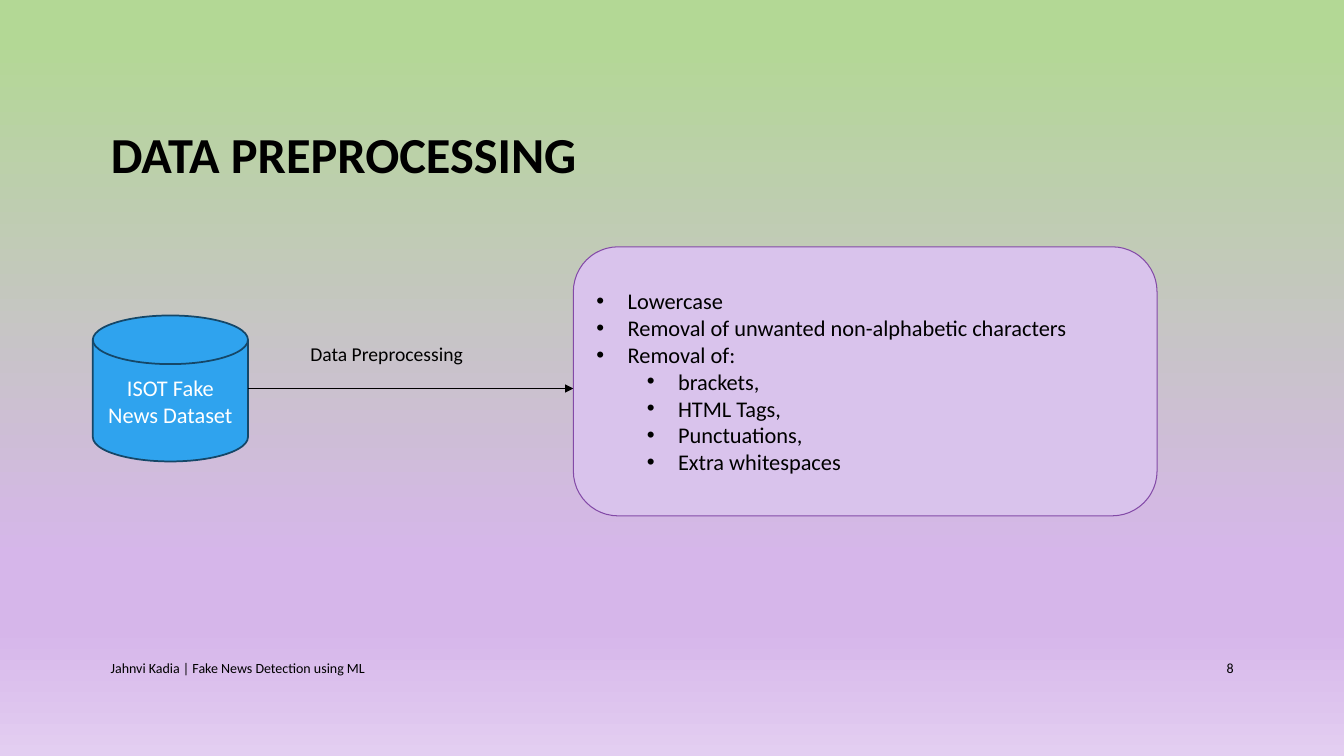
from copy import deepcopy
from dataclasses import dataclass

from pptx import Presentation
from pptx.dml.color import RGBColor as Rgb
from pptx.enum.shapes import MSO_CONNECTOR as Link, MSO_SHAPE as Kind
from pptx.enum.text import MSO_ANCHOR as Anchor, PP_ALIGN as Align
from pptx.oxml.ns import qn
from pptx.oxml.xmlchemy import OxmlElement as Node
from pptx.util import Cm, Pt

# Content
TITLE = "DATA PREPROCESSING"
SOURCE = "ISOT Fake News Dataset"
LABEL = "Data Preprocessing"
STEPS = [
    (0, "Lowercase"),
    (0, "Removal of unwanted non-alphabetic characters"),
    (0, "Removal of:"),
    (1, "brackets,"),
    (1, "HTML Tags,"),
    (1, "Punctuations,"),
    (1, "Extra whitespaces"),
]
FOOTER = "Jahnvi Kadia | Fake News Detection using ML"
NUMBER = "8"


@dataclass(frozen=True)
class Theme:
    font: str = "Calibri"
    ink: str = "000000"
    light: str = "FFFFFF"
    disk: str = "2FA3EE"
    rim: str = "154768"
    panel: str = "D9C3EC"
    edge: str = "834AA7"
    back: tuple = ((0.05, "B3D895"), (0.74, "D6B6EA"),
                   (0.83, "D6B6EA"), (1, "E3CEF1"))
    head: int = 36
    body: int = 16
    note: int = 14
    foot: int = 10


LOOK = Theme()

# Places in cm: left, top, width, height
LEFT, BASE = 2.54, 16.33
HEAD = (LEFT, 1.73, 28.78, 4.45)
DISK = (2.34, 7.95, 3.91, 3.68)
PANEL = (14.45, 6.22, 14.71, 6.78)
NOTE = (7.57, 8.48, 6.5, 0.86)
FOOT = (LEFT, BASE, 18.54, 1.02)
PAGE = (29.21, BASE, 2.13, 1.02)
HANG, STEP = 0.79, 1.27


def place(box):
    return [Cm(side) for side in box]


def bullet(para, level):
    para.level = level
    props = para._p.get_or_add_pPr()
    props.set("marL", str(Cm(HANG + STEP * level)))
    props.set("indent", str(-Cm(HANG)))
    face, mark = Node("a:buFont"), Node("a:buChar")
    face.set("typeface", "Arial")
    mark.set("char", "•")
    props.extend([face, mark])


def write(shape, text, size=LOOK.body, color=LOOK.ink, bold=False,
          align=Align.LEFT, anchor=Anchor.MIDDLE, space=None):
    """Fill a shape with one line, or with a list of (level, line) bullets."""
    frame = shape.text_frame
    frame.word_wrap = True
    frame.vertical_anchor = anchor
    listed = isinstance(text, list)
    for i, (level, line) in enumerate(text if listed else [(0, text)]):
        para = frame.add_paragraph() if i else frame.paragraphs[0]
        para.alignment = align
        if space:
            para.line_spacing = space
        if listed:
            bullet(para, level)
        run = para.add_run()
        run.text = line
        font = run.font
        font.name, font.size, font.bold = LOOK.font, Pt(size), bold
        font.color.rgb = Rgb.from_string(color)


def block(slide, kind, box, fill, line, width):
    shape = slide.shapes.add_shape(kind, *place(box))
    shape.shadow.inherit = False
    shape.fill.solid()
    shape.fill.fore_color.rgb = Rgb.from_string(fill)
    shape.line.color.rgb = Rgb.from_string(line)
    shape.line.width = Pt(width)
    return shape


def arrow(slide, start, end, y):
    line = slide.shapes.add_connector(Link.STRAIGHT, *place((start, y, end, y)))
    line.line.color.rgb = Rgb.from_string(LOOK.ink)
    line.line.width = Pt(0.75)
    tip = Node("a:tailEnd")
    tip.set("type", "triangle")
    line.line._get_or_add_ln().append(tip)
    line._element.spPr.append(Node("a:effectLst"))


def shade(slide):
    fill = slide.background.fill
    fill.gradient()
    fill.gradient_angle = 270
    stops = slide.element.find(".//" + qn("a:gsLst"))
    while len(stops) < len(LOOK.back):
        stops.append(deepcopy(stops[0]))
    for stop, (spot, color) in zip(fill.gradient_stops, LOOK.back):
        stop.position = spot
        stop.color.rgb = Rgb.from_string(color)


def main():
    deck = Presentation()
    deck.slide_width, deck.slide_height = Cm(33.87), Cm(19.05)
    slide = deck.slides.add_slide(deck.slide_layouts[5])
    shade(slide)

    # Title
    title = slide.shapes.title
    title.left, title.top, title.width, title.height = place(HEAD)
    write(title, TITLE, size=LOOK.head, bold=True, space=0.9)

    # Data set, arrow and cleaning steps
    disk = block(slide, Kind.FLOWCHART_MAGNETIC_DISK, DISK,
                 LOOK.disk, LOOK.rim, 1.25)
    write(disk, SOURCE, color=LOOK.light, align=Align.CENTER)
    x, y, wide, high = DISK
    arrow(slide, x + wide, PANEL[0], y + high / 2)
    panel = block(slide, Kind.ROUNDED_RECTANGLE, PANEL,
                  LOOK.panel, LOOK.edge, 0.75)
    write(panel, STEPS)

    # Arrow label, footer and page number
    for box, text, form in [
        (NOTE, LABEL, dict(size=LOOK.note, anchor=Anchor.TOP)),
        (FOOT, FOOTER, dict(size=LOOK.foot)),
        (PAGE, NUMBER, dict(size=LOOK.foot, align=Align.RIGHT)),
    ]:
        write(slide.shapes.add_textbox(*place(box)), text, **form)

    deck.save("out.pptx")


if __name__ == "__main__":
    main()
